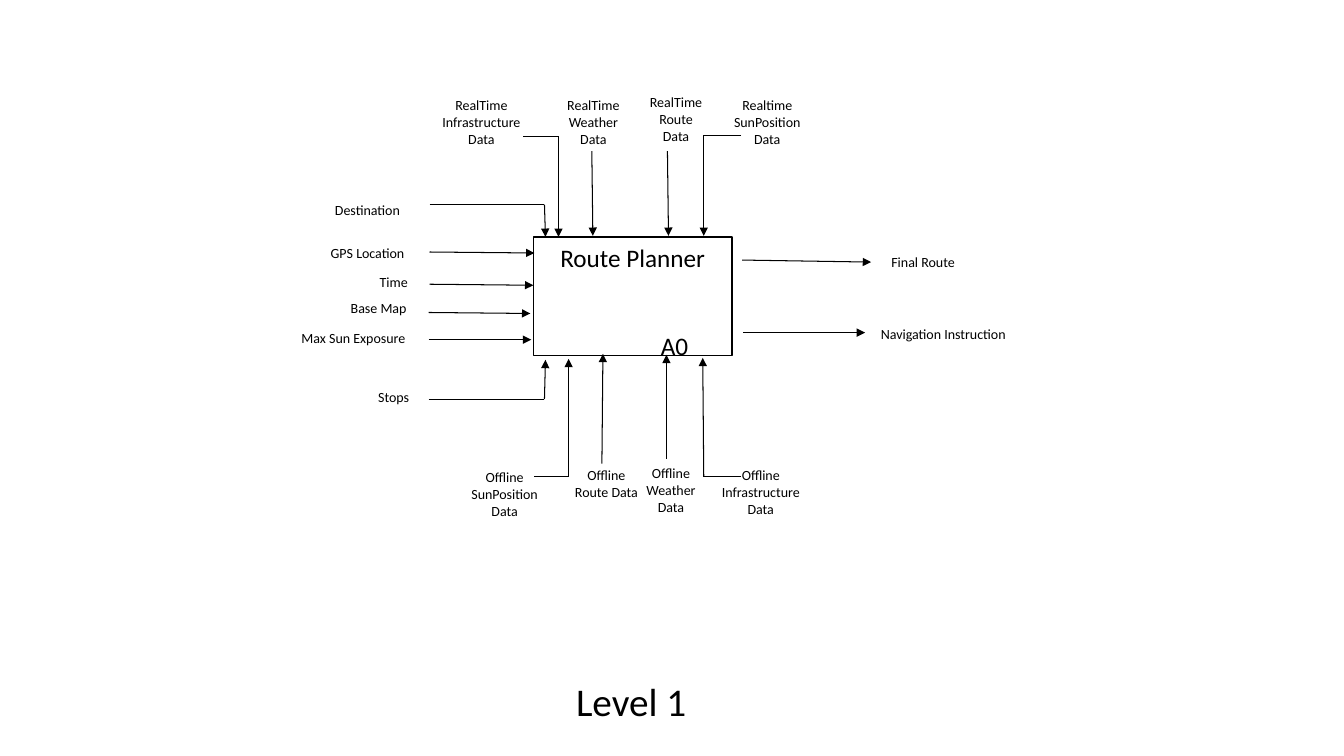
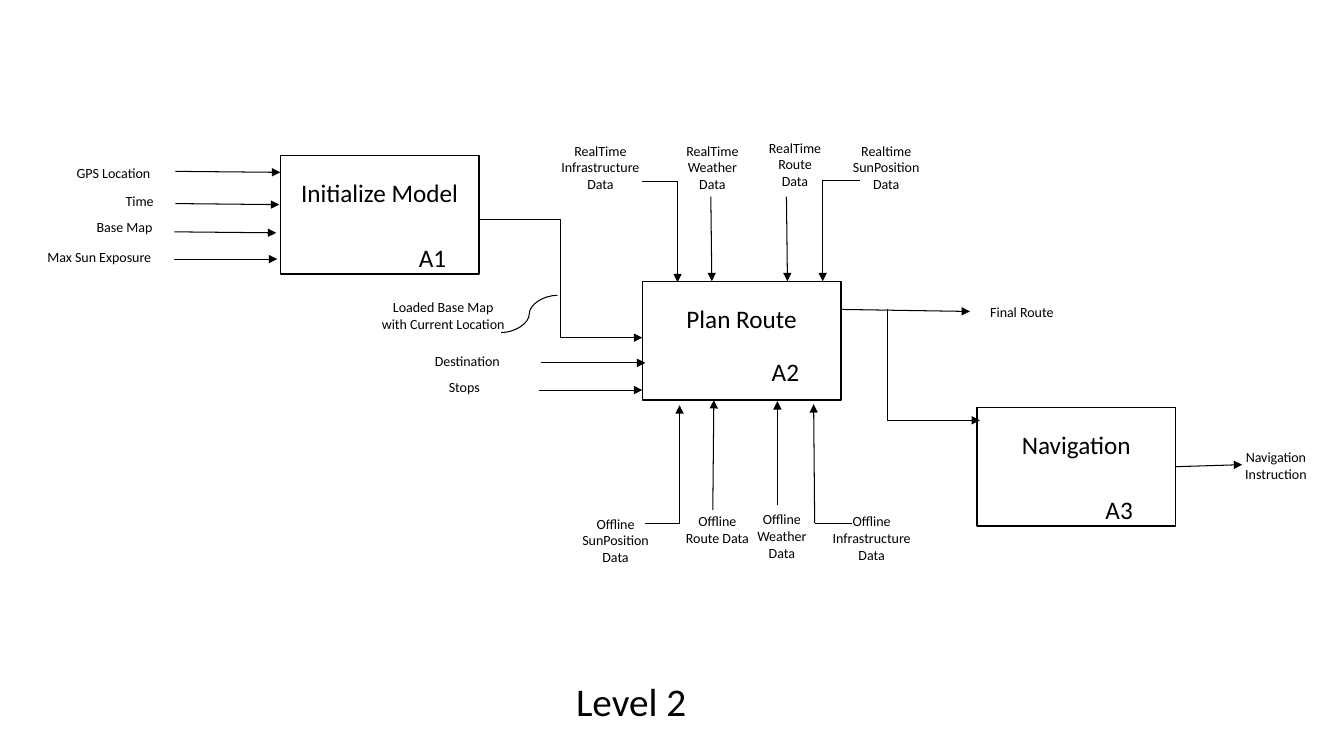
from lxml.etree import SubElement
from pptx import Presentation
from pptx.dml.color import RGBColor
from pptx.enum.shapes import MSO_CONNECTOR as Wire, MSO_SHAPE as Form
from pptx.enum.text import MSO_ANCHOR as Anchor, PP_ALIGN as Align
from pptx.oxml.ns import qn
from pptx.util import Inches, Pt

INK, PAPER, FONT = "000000", "FFFFFF", "Calibri"
WIDE, HIGH = 1.97, 1.18

LIVE = (
    [("RealTime Infrastructure Data", 4.26, 0.91, 1.03, 0.63),
     ("RealTime Route Data", 6.3, 0.88, 0.81, 0.61),
     ("RealTime Weather Data", 5.46, 0.91, 0.85, 0.63),
     ("Realtime SunPosition Data", 7.13, 0.91, 0.96, 0.63)],
    [[(5.87, 1.5), (5.88, 2.34)],
     [(6.62, 1.5), (6.63, 2.34)],
     [(5.19, 1.35), (5.54, 1.35), (5.54, 2.35)],
     [(7.35, 1.34), (6.98, 1.34), (6.98, 2.34)]],
)
STORED = (
    [("Offline Route Data", 5.6, 4.58, 0.83, 0.53),
     ("Offline SunPosition Data", 4.47, 4.6, 1.07, 0.58),
     ("Offline Infrastructure Data", 7, 4.58, 1.09, 0.6),
     ("Offline Weather Data", 6.24, 4.56, 0.83, 0.69)],
    [[(5.97, 4.6), (5.98, 3.51)],
     [(6.61, 4.55), (6.61, 3.52)],
     [(7.35, 4.73), (6.98, 4.73), (6.97, 3.55)],
     [(5.3, 4.73), (5.64, 4.73), (5.64, 3.56)]],
)
INPUTS = (
    [("Max Sun Exposure", 2.52, 3.22, WIDE, 0.3),
     ("Time", 2.92, 2.66, WIDE, 0.22),
     ("Base Map", 2.77, 2.92, WIDE, 0.26),
     ("GPS Location", 2.66, 2.38, WIDE, 0.25)],
    [[(4.25, 3.37), (5.27, 3.37)],
     [(4.25, 3.1), (5.26, 3.11)],
     [(4.26, 2.82), (5.29, 2.83)],
     [(4.26, 2.5), (5.3, 2.51)]],
)
RESULT = (
    [("Final Route", 8.17, 2.47, WIDE, 0.2)],
    [[(7.36, 2.58), (8.64, 2.6)]],
)


def tint(code):
    return RGBColor.from_string(code)


class Deck:
    """Holds the shared style and the current slide, and draws each element."""

    def __init__(self):
        self.show = Presentation()
        self.show.slide_width = Inches(13.33)
        self.show.slide_height = Inches(7.5)

    def page(self, title):
        self.slide = self.show.slides.add_slide(self.show.slide_layouts[6])
        self.label(title, 3.94, 6.67, 4.64, 0.58, 28)

    def words(self, frame, text, size):
        frame.word_wrap = True
        frame.vertical_anchor = Anchor.TOP
        para = frame.paragraphs[0]
        para.alignment = Align.CENTER
        run = para.add_run()
        run.text = text
        run.font.size = Pt(size)
        run.font.name = FONT
        run.font.color.rgb = tint(INK)

    def label(self, text, x, y, w, h, size=10):
        box = self.slide.shapes.add_textbox(Inches(x), Inches(y), Inches(w), Inches(h))
        self.words(box.text_frame, text, size)

    def block(self, name, code, x, y, drop, right, down):
        box = self.slide.shapes.add_shape(
            Form.RECTANGLE, Inches(x), Inches(y), Inches(WIDE), Inches(HIGH))
        box.shadow.inherit = False
        box.fill.solid()
        box.fill.fore_color.rgb = tint(PAPER)
        box.line.color.rgb = tint(INK)
        box.line.width = Pt(1)
        box.text_frame.margin_top = Inches(0.05 + drop)
        self.words(box.text_frame, name, 18)
        self.label(code, x + right, y + down, 0.76, 0.38, 18)
        return box

    def line(self, start, end, tip=True, kind=Wire.STRAIGHT):
        wire = self.slide.shapes.add_connector(
            kind, *(Inches(n) for n in (*start, *end)))
        wire.line.color.rgb = tint(INK)
        wire.line.width = Pt(0.75)
        props = wire.element.spPr
        if tip:
            SubElement(props.find(qn("a:ln")), qn("a:tailEnd"), type="triangle")
        SubElement(props, qn("a:effectLst"))
        return wire

    def route(self, points, dx=0, dy=0):
        spots = [(x + dx, y + dy) for x, y in points]
        for start, end in zip(spots, spots[1:]):
            self.line(start, end, tip=end is spots[-1])

    def group(self, part, dx=0, dy=0):
        labels, routes = part
        for text, x, y, w, h in labels:
            self.label(text, x + dx, y + dy, w, h)
        for points in routes:
            self.route(points, dx, dy)


def level_one(deck):
    deck.page("Level 1")
    deck.block("Route Planner", "A0", 5.29, 2.35, 0, 1.02, 0.88)
    for part in (LIVE, STORED, INPUTS, RESULT):
        deck.group(part)
    deck.label("Navigation Instruction", 8.37, 3.18, WIDE, 0.26)
    deck.line((7.37, 3.3), (8.58, 3.3))
    deck.label("Destination", 2.66, 1.95, WIDE, 0.3)
    deck.route([(4.26, 2.03), (5.4, 2.03), (5.41, 2.35)])
    deck.label("Stops", 2.92, 3.81, WIDE, 0.3)
    deck.route([(4.25, 3.96), (5.4, 3.96), (5.41, 3.57)])


def level_two(deck):
    deck.page("Level 2")
    deck.block("Initialize Model", "A1", 2.78, 1.54, 0.17, 1.13, 0.81)
    deck.block("Plan Route", "A2", 6.37, 2.79, 0.17, 1.04, 0.7)
    guide = deck.block("Navigation", "A3", 9.69, 4.04, 0.17, 1.03, 0.81)
    deck.group(LIVE, 1.18, 0.45)
    deck.group(STORED, 1.1, 0.46)
    deck.group(INPUTS, -2.52, -0.8)
    deck.group(RESULT, 0.98, 0.49)
    deck.route([(8.8, 3.07), (8.8, 4.17), (9.72, 4.17)])
    deck.label("Navigation Instruction", 12.07, 4.4, 1.17, 0.52)
    deck.line((11.66, 4.63), (12.32, 4.61)).begin_connect(guide, 3)
    deck.line((4.75, 2.18), (6.37, 3.35), kind=Wire.ELBOW)
    deck.label("Loaded Base Map with Current Location", 3.67, 2.91, 1.45, 0.48)
    deck.line((5.53, 2.93), (4.97, 3.3), tip=False, kind=Wire.CURVE)
    deck.label("Stops", 3.62, 3.71, WIDE, 0.3)
    deck.line((5.35, 3.87), (6.37, 3.87))
    deck.label("Destination", 3.65, 3.45, WIDE, 0.3)
    deck.line((5.37, 3.6), (6.4, 3.6))


def main():
    deck = Deck()
    level_one(deck)
    level_two(deck)
    deck.show.save("out.pptx")


if __name__ == "__main__":
    main()
